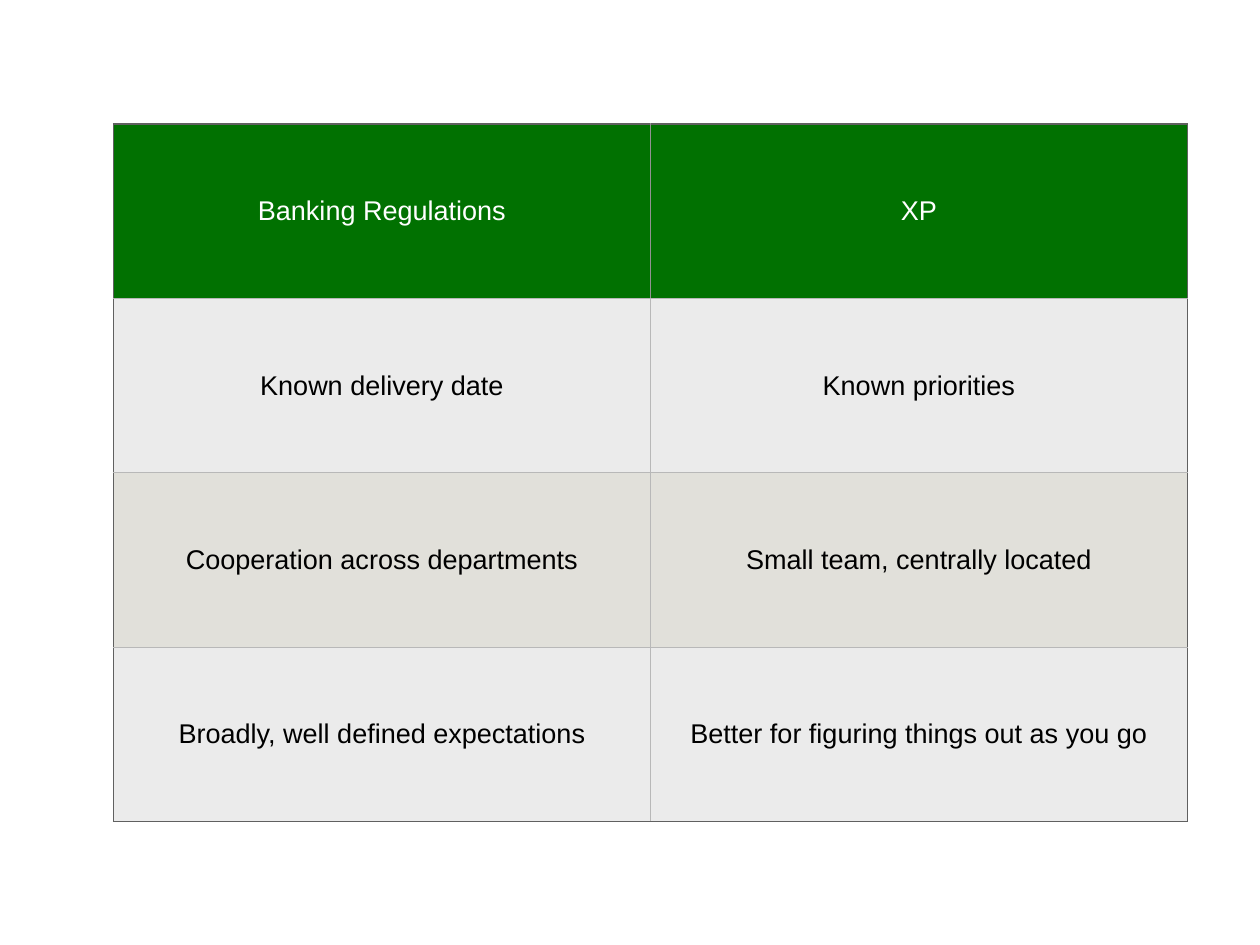
"""Build a slide with a table comparing banking regulations with XP."""
import lxml.etree
import pptx
import pptx.dml.color
import pptx.enum.text
import pptx.oxml.ns
import pptx.util

WIDTH, HEIGHT = 14.22, 10.67
LEFT, TOP = 1.28, 1.4
COL_WIDTH, ROW_HEIGHT = 6.06, 1.97
INSET = 0.06
EDGE, HEADER_DIVIDER, GRID = "606060", "929292", "B8B8B8"
HEADER_FILL, BAND_FILLS = "017101", ("E1E0DA", "EBEBEB")
ROWS = [
    ("Banking Regulations", "XP"),
    ("Known delivery date", "Known priorities"),
    ("Cooperation across departments", "Small team, centrally located"),
    ("Broadly, well defined expectations", "Better for figuring things out as you go"),
]


def rgb(value):
    return pptx.dml.color.RGBColor.from_string(value)


def write_text(tf, text, size=22, font="Arial", color="000000"):
    p = tf.paragraphs[0]
    p.alignment = pptx.enum.text.PP_ALIGN.CENTER
    r = p.add_run()
    r.text = text
    r.font.size = pptx.util.Pt(size)
    r.font.name = font
    r.font.color.rgb = rgb(color)


def set_borders(cell, colors, width=1):
    qn = pptx.oxml.ns.qn
    tcPr = cell._tc.get_or_add_tcPr()
    for i, (side, color) in enumerate(zip("LRTB", colors)):
        ln = lxml.etree.Element(qn(f"a:ln{side}"), w=str(pptx.util.Pt(width)))
        fill = lxml.etree.SubElement(ln, qn("a:solidFill"))
        lxml.etree.SubElement(fill, qn("a:srgbClr"), val=color)
        tcPr.insert(i, ln)


def border_colors(row, col):
    last_row, last_col = len(ROWS) - 1, len(ROWS[0]) - 1
    divider = GRID if row else HEADER_DIVIDER
    return (
        divider if col else EDGE,
        EDGE if col == last_col else divider,
        GRID if row else EDGE,
        EDGE if row in (0, last_row) else GRID,
    )


def format_cell(cell, text, row, col):
    inset = pptx.util.Inches(INSET)
    cell.margin_left = cell.margin_right = inset
    cell.margin_top = cell.margin_bottom = inset
    cell.vertical_anchor = pptx.enum.text.MSO_ANCHOR.MIDDLE
    cell.fill.solid()
    cell.fill.fore_color.rgb = rgb(BAND_FILLS[row % 2] if row else HEADER_FILL)
    set_borders(cell, border_colors(row, col))
    write_text(cell.text_frame, text, color="000000" if row else "FFFFFF")


def add_comparison(s):
    n_rows, n_cols = len(ROWS), len(ROWS[0])
    box = (LEFT, TOP, n_cols * COL_WIDTH, n_rows * ROW_HEIGHT)
    table = s.shapes.add_table(n_rows, n_cols, *map(pptx.util.Inches, box)).table
    for row, texts in enumerate(ROWS):
        for col, text in enumerate(texts):
            format_cell(table.cell(row, col), text, row, col)


def main():
    prs = pptx.Presentation()
    prs.slide_width = pptx.util.Inches(WIDTH)
    prs.slide_height = pptx.util.Inches(HEIGHT)
    s = prs.slides.add_slide(prs.slide_layouts[6])
    add_comparison(s)
    prs.save("out.pptx")


if __name__ == "__main__":
    main()
